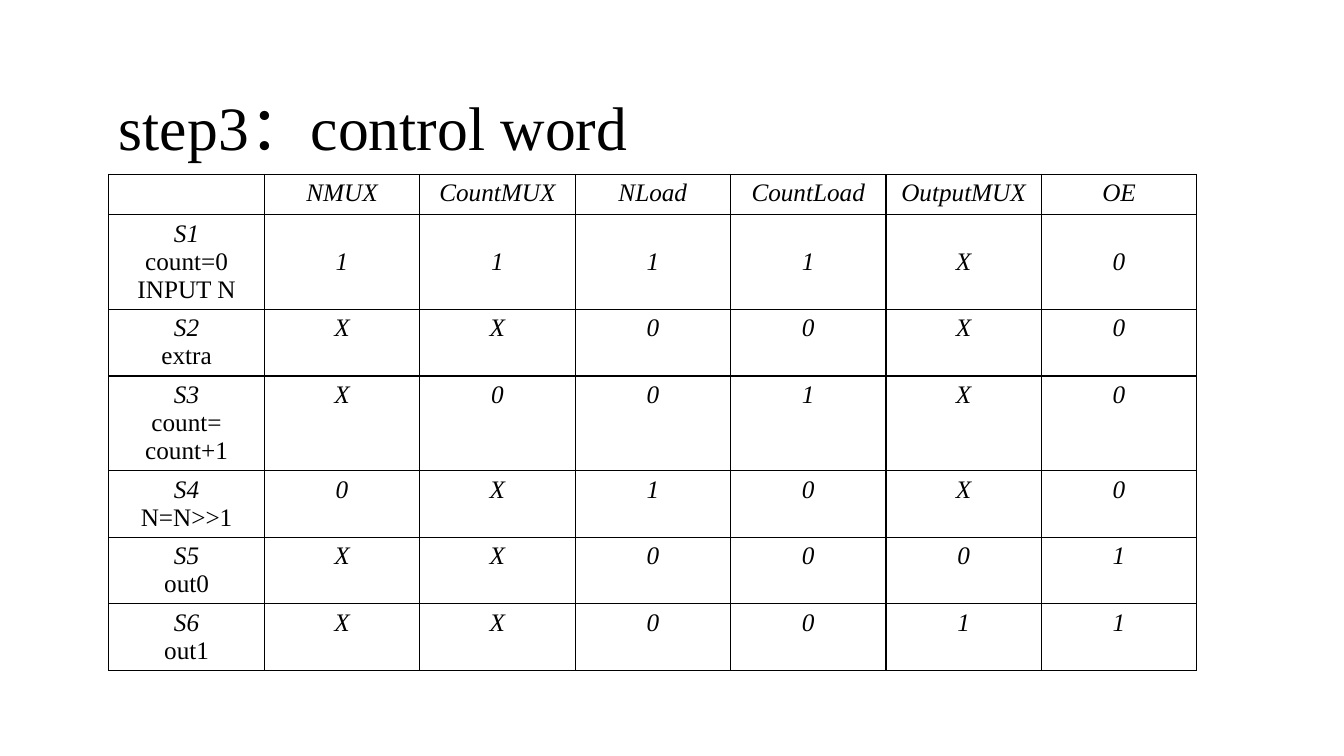
from dataclasses import dataclass

from lxml import etree
from pptx import Presentation
from pptx.dml.color import RGBColor
from pptx.enum.text import MSO_ANCHOR, MSO_AUTO_SIZE, PP_ALIGN
from pptx.oxml.ns import qn
from pptx.util import Inches, Pt

TOP, MIDDLE = MSO_ANCHOR.TOP, MSO_ANCHOR.MIDDLE
LEFT, CENTER = PP_ALIGN.LEFT, PP_ALIGN.CENTER
NO_AUTOFIT = MSO_AUTO_SIZE.NONE
TITLE_ONLY = 5
BORDER_SIDES = ("a:lnL", "a:lnR", "a:lnT", "a:lnB")

SIGNALS = ["NMUX", "CountMUX", "NLoad", "CountLoad", "OutputMUX", "OE"]
STATES = [
    ("S1", ["count=0", "INPUT N"], "1111X0", MIDDLE),
    ("S2", ["extra"], "XX00X0", TOP),
    ("S3", ["count=", "count+1"], "X001X0", TOP),
    ("S4", ["N=N>>1"], "0X10X0", TOP),
    ("S5", ["out0"], "XX0001", TOP),
    ("S6", ["out1"], "XX0011", TOP),
]


@dataclass
class Theme:
    font: str = "Times New Roman"
    ink: str = "000000"
    title_size: int = 44
    cell_size: int = 18
    border: float = 1


class SlideBuilder:
    """Adds styled elements to the current slide."""

    def __init__(self, presentation, theme):
        self.theme = theme
        self.slide = presentation.slides.add_slide(presentation.slide_layouts[TITLE_ONLY])

    def style(self, paragraph, size, align, italic=False):
        paragraph.alignment = align
        font = paragraph.font
        font.name = self.theme.font
        font.size = Pt(size)
        font.italic = italic
        font.color.rgb = RGBColor.from_string(self.theme.ink)

    def title(self, wording, left, top, width, height):
        heading = self.slide.shapes.title
        heading.left, heading.top = Inches(left), Inches(top)
        heading.width, heading.height = Inches(width), Inches(height)
        frame = heading.text_frame
        frame.text = wording
        frame.word_wrap = True
        frame.auto_size = NO_AUTOFIT
        frame.vertical_anchor = MIDDLE
        paragraph = frame.paragraphs[0]
        paragraph.line_spacing = 0.9
        self.style(paragraph, self.theme.title_size, LEFT)

    def outline(self, cell):
        properties = cell._tc.get_or_add_tcPr()
        for position, side in enumerate(BORDER_SIDES):
            line = etree.Element(qn(side), w=str(Pt(self.theme.border)))
            fill = etree.SubElement(line, qn("a:solidFill"))
            etree.SubElement(fill, qn("a:srgbClr"), val=self.theme.ink)
            properties.insert(position, line)

    def cell(self, cell, lines, anchor):
        cell.fill.background()
        self.outline(cell)
        cell.vertical_anchor = anchor
        cell.text = "\n".join(lines)
        for position, paragraph in enumerate(cell.text_frame.paragraphs):
            self.style(paragraph, self.theme.cell_size, CENTER, italic=position == 0)

    def table(self, rows, left, top, width):
        heights = [Inches(0.1 + 0.28 * max(len(lines) for lines in cells))
                   for cells, _ in rows]
        heights[0] = Inches(0.4)
        grid = self.slide.shapes.add_table(
            len(rows), len(rows[0][0]), Inches(left), Inches(top),
            Inches(width), sum(heights)).table
        grid.first_row = grid.horz_banding = False
        for row, (cells, anchor) in enumerate(rows):
            grid.rows[row].height = heights[row]
            for column, lines in enumerate(cells):
                self.cell(grid.cell(row, column), lines, anchor)


def main():
    presentation = Presentation()
    presentation.slide_width = Inches(13.33)
    presentation.slide_height = Inches(7.5)
    builder = SlideBuilder(presentation, Theme())
    header = ([[""]] + [[signal] for signal in SIGNALS], TOP)
    control_words = [([[state, *action]] + [[bit] for bit in bits], anchor)
                     for state, action, bits, anchor in STATES]
    builder.table([header, *control_words], 1.08, 1.73, 10.79)
    builder.title("step3：control word", 1.08, 0.57, 11.5, 1.45)
    presentation.save("out.pptx")


if __name__ == "__main__":
    main()
